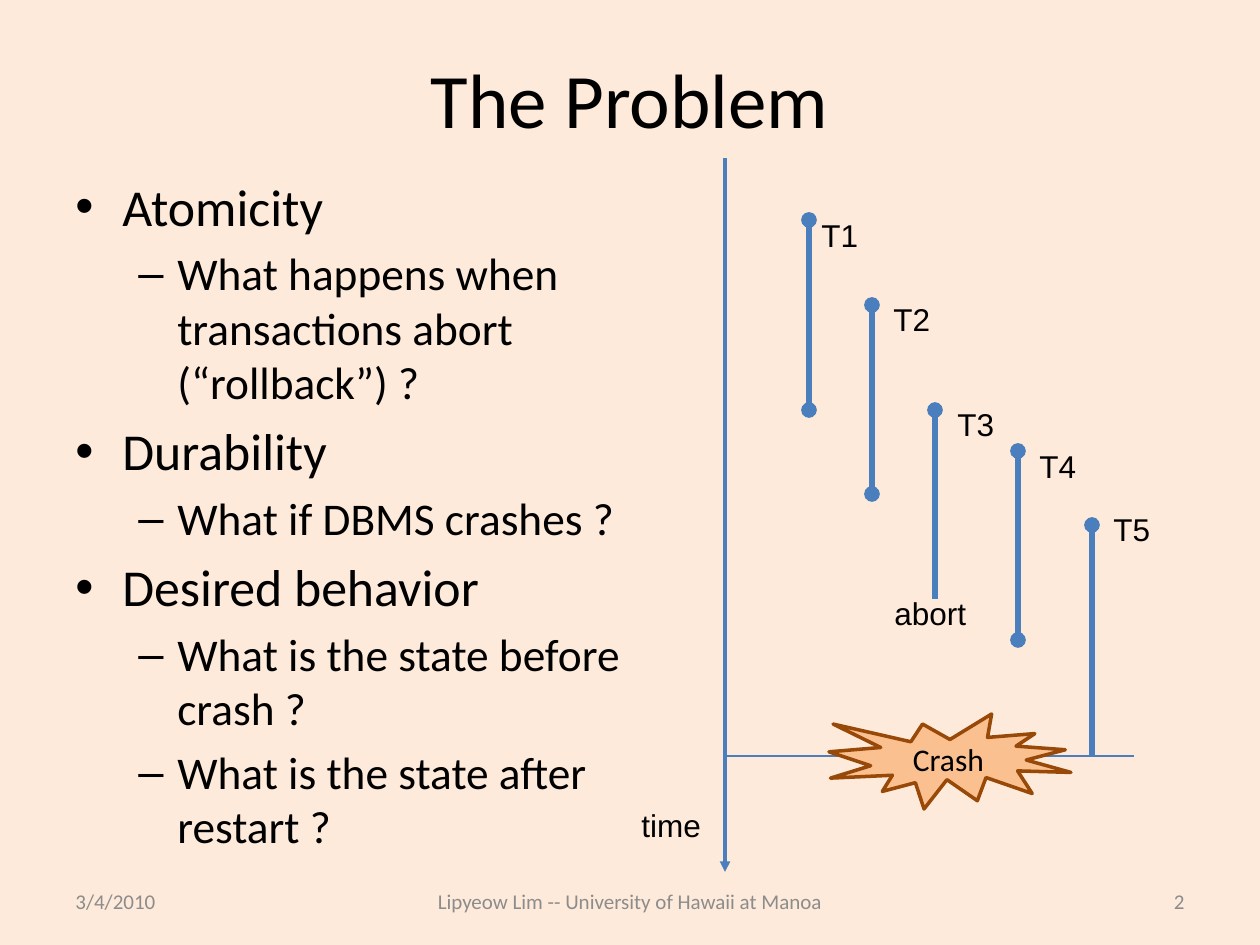
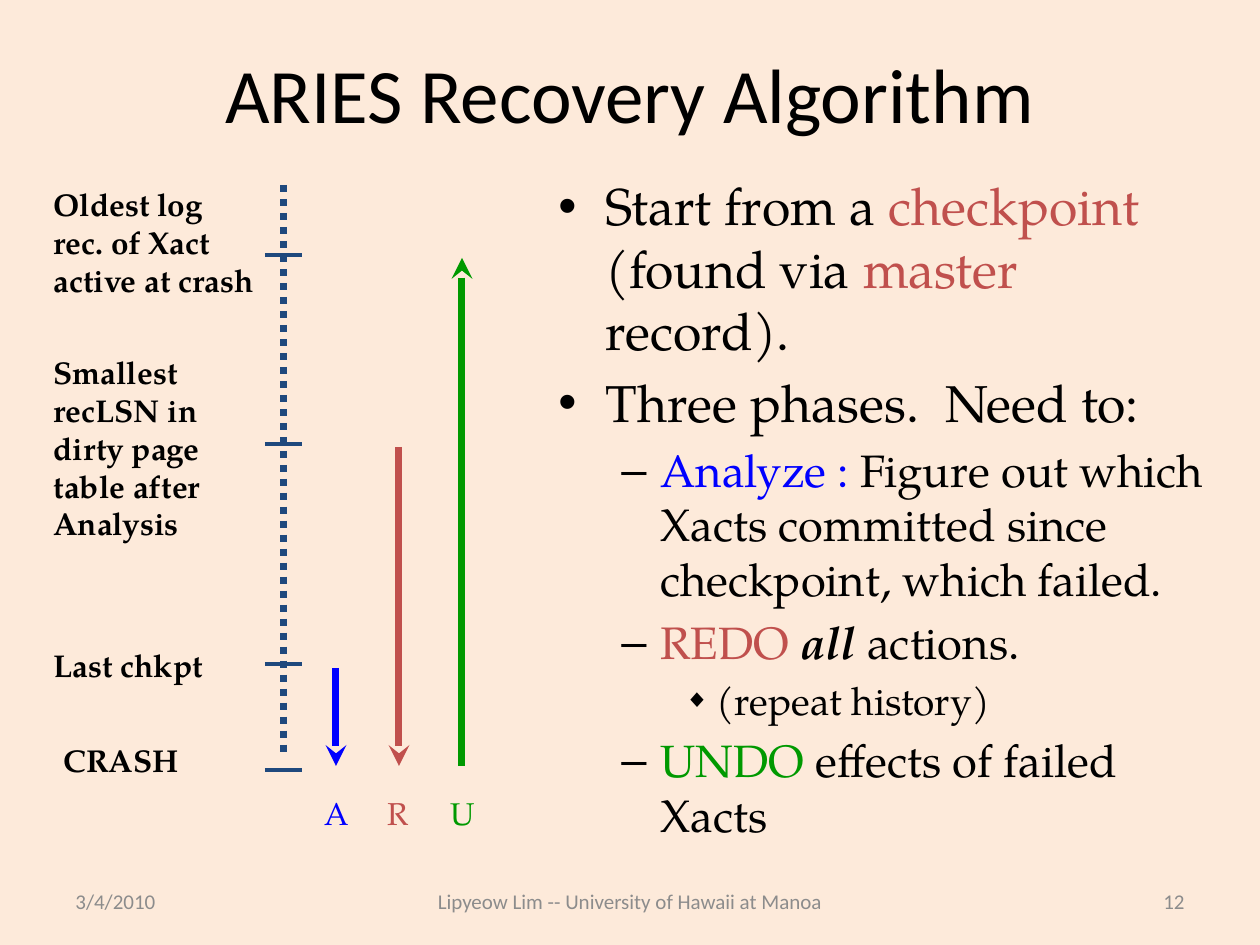
from lxml import etree
from pptx import Presentation
from pptx import util as u
from pptx.dml.color import RGBColor
from pptx.enum import dml, shapes, text
from pptx.oxml.ns import qn

PX = 914400 / 126  # one px in EMU
colour = RGBColor.from_string
LEFT, CENTRE, RIGHT = text.PP_ALIGN.LEFT, text.PP_ALIGN.CENTER, text.PP_ALIGN.RIGHT
TOP, MIDDLE = text.MSO_ANCHOR.TOP, text.MSO_ANCHOR.MIDDLE

SANS, PLAIN, SERIF = "Calibri", "Arial", "TeX Gyre Pagella"
BACKGROUND, BLACK, GREY = "FDEADA", "000000", "8C8C8C"
STEEL, NAVY = "4B7EBC", "1F497D"
BLUE, RED, GREEN = "0000FF", "C0504D", "009900"

# Outline levels: size, left margin, hanging indent, bullet, bullet size in %
LEVELS = [(29.6, 47, 47, "•", 100), (25.9, 102, 39, "–", 100), (22.2, 158, 32, "◆", 65)]


def write(box, paras, font, size=18, align=LEFT, anchor=TOP):
    """Fill a shape; each para is (level or None, [(words, colour, style), ...])."""
    frame = box.text_frame
    frame.word_wrap = True
    frame.vertical_anchor = anchor
    for index, (level, spans) in enumerate(paras):
        para = frame.paragraphs[0] if index == 0 else frame.add_paragraph()
        para.alignment = align
        if level is not None:
            size, margin, hang, bullet, percent = LEVELS[level]
            if index:
                para.space_before = u.Pt(round(size * 0.2, 1))
            props = para._p.get_or_add_pPr()
            props.set("lvl", str(level))
            props.set("marL", str(round(margin * PX)))
            props.set("indent", str(round(-hang * PX)))
            tint = etree.SubElement(props, qn("a:buClr"))
            etree.SubElement(tint, qn("a:srgbClr"), val=BLACK)
            etree.SubElement(props, qn("a:buSzPct"), val=str(percent * 1000))
            etree.SubElement(props, qn("a:buFont"), typeface=PLAIN)
            etree.SubElement(props, qn("a:buChar"), char=bullet)
        for words, ink, style in spans:
            span = para.add_run()
            span.text = words
            span.font.name, span.font.size = font, u.Pt(size)
            span.font.color.rgb = colour(ink)
            span.font.bold, span.font.italic = "b" in style, "i" in style


def draw_line(page, start, end, ink, width, head=None, tail=None, dash=None):
    ends = [round(n * PX) for n in (*start, *end)]
    line = page.shapes.add_connector(shapes.MSO_CONNECTOR.STRAIGHT, *ends)
    line.line.color.rgb = colour(ink)
    line.line.width = u.Pt(width)
    if dash:
        line.line.dash_style = dash
    stroke = line.line._get_or_add_ln()
    for tag, kind in (("a:headEnd", head), ("a:tailEnd", tail)):
        if kind:
            etree.SubElement(stroke, qn(tag), type=kind)
    etree.SubElement(line._element.spPr, qn("a:effectLst"))


deck = Presentation()
deck.slide_width, deck.slide_height = round(1260 * PX), round(945 * PX)

problem_body = [
    (0, [("Atomicity", BLACK, "")]),
    (1, [("What happens when transactions abort (“rollback”) ?", BLACK, "")]),
    (0, [("Durability", BLACK, "")]),
    (1, [("What if DBMS crashes ?", BLACK, "")]),
    (0, [("Desired behavior", BLACK, "")]),
    (1, [("What is the state before crash ?", BLACK, "")]),
    (1, [("What is the state after restart ?", BLACK, "")]),
]
aries_body = [
    (0, [("Start from a ", BLACK, ""), ("checkpoint", RED, ""), (" (found via ", BLACK, ""),
         ("master", RED, ""), (" record).", BLACK, "")]),
    (0, [("Three phases.  Need to:", BLACK, "")]),
    (1, [("Analyze : ", BLUE, ""),
         ("Figure out which Xacts committed since checkpoint, which failed.", BLACK, "")]),
    (1, [("REDO ", RED, ""), ("all", BLACK, "bi"), (" actions.", BLACK, "")]),
    (2, [("(repeat history)", BLACK, "")]),
    (1, [("UNDO", GREEN, ""), (" effects of failed Xacts", BLACK, "")]),
]

# Shared frame: background, title, outline, footers
pages = []
for title, title_height, body, body_place, body_font, number in [
    ("The Problem", 120, problem_body, (63, 168, 630, 677), SANS, "2"),
    ("ARIES Recovery Algorithm", 110, aries_body, (546, 168, 672, 693), SERIF, "12"),
]:
    page = deck.slides.add_slide(deck.slide_layouts[6])
    pages.append(page)
    page.background.fill.solid()
    page.background.fill.fore_color.rgb = colour(BACKGROUND)
    for place, paras, font, size, align, anchor in [
        ((63, 38, 1134, title_height), [(None, [(title, BLACK, "")])], SANS, 44, CENTRE, MIDDLE),
        (body_place, body, body_font, 18, LEFT, TOP),
        ((63, 876, 294, 50), [(None, [("3/4/2010", GREY, "")])], SANS, 12, LEFT, MIDDLE),
        ((378, 876, 504, 50), [(None, [("Lipyeow Lim -- University of Hawaii at Manoa", GREY, "")])],
         SANS, 12, CENTRE, MIDDLE),
        ((903, 876, 294, 50), [(None, [(number, GREY, "")])], SANS, 12, RIGHT, MIDDLE),
    ]:
        box = page.shapes.add_textbox(*[round(n * PX) for n in place])
        write(box, paras, font, size, align, anchor)
problem, aries = pages

# Problem: time axis, crash moment and transactions
draw_line(problem, (725, 158), (725, 872), STEEL, 2, tail="triangle")
for x, top, bottom, tail in [
    (809, 220, 410, "oval"),
    (872, 305, 494, "oval"),
    (935, 410, 599, None),
    (1018, 451, 640, "oval"),
    (1092, 525, 756, None),
]:
    draw_line(problem, (x, top), (x, bottom), STEEL, 3, "oval", tail)
draw_line(problem, (725, 756), (1134, 756), STEEL, 0.75)

crash = problem.shapes.add_shape(
    shapes.MSO_SHAPE.EXPLOSION1, *[round(n * PX) for n in (829, 714, 242, 95)])
crash.shadow.inherit = False
crash.fill.solid()
crash.fill.fore_color.rgb = colour("FAC090")
crash.line.color.rgb = colour("984807")
crash.line.width = u.Pt(2)
write(crash, [(None, [("Crash", BLACK, "")])], SANS, align=CENTRE, anchor=MIDDLE)

# ARIES: log with its marks, and one arrow per phase
draw_line(aries, (284, 185), (284, 755), NAVY, 4, dash=dml.MSO_LINE.ROUND_DOT)
for y in (255, 444, 664, 770):
    draw_line(aries, (265, y), (302, y), NAVY, 2)
for x, top, ink, head, tail in [
    (336, 668, BLUE, None, "stealth"),
    (399, 447, RED, None, "stealth"),
    (462, 258, GREEN, "stealth", None),
]:
    draw_line(aries, (x, top), (x, 766), ink, 4, head, tail)

# Labels of both diagrams
for page, font, style, labels in [
    (problem, PLAIN, "", [
        ("T1", 809, 210, 86, BLACK), ("T2", 881, 294, 86, BLACK), ("T3", 945, 399, 86, BLACK),
        ("T4", 1027, 441, 86, BLACK), ("T5", 1101, 504, 86, BLACK),
        ("abort", 882, 588, 102, BLACK), ("time", 629, 800, 90, BLACK)]),
    (aries, SERIF, "b", [
        ("Oldest log rec. of Xact active at crash", 41, 179, 232, BLACK),
        ("Smallest recLSN in dirty page table after Analysis", 41, 347, 232, BLACK),
        ("Last chkpt", 41, 640, 232, BLACK), ("CRASH", 51, 735, 232, BLACK)]),
    (aries, SERIF, "", [
        ("A", 312, 788, 57, BLUE), ("R", 375, 788, 57, RED), ("U", 438, 788, 57, GREEN)]),
]:
    for words, left, top, width, ink in labels:
        box = page.shapes.add_textbox(*[round(n * PX) for n in (left, top, width, 50)])
        write(box, [(None, [(words, ink, style)])], font)

deck.save("out.pptx")
